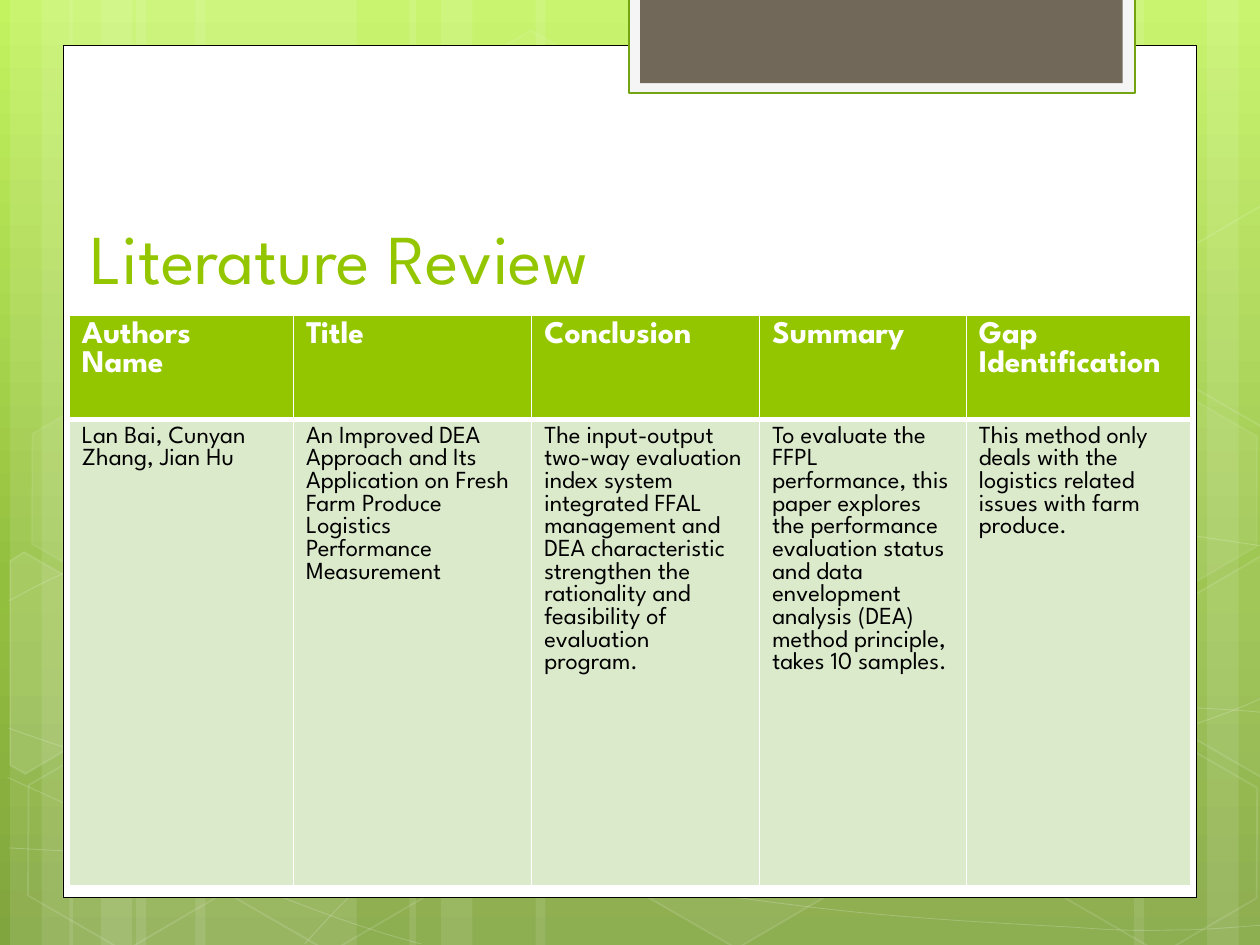
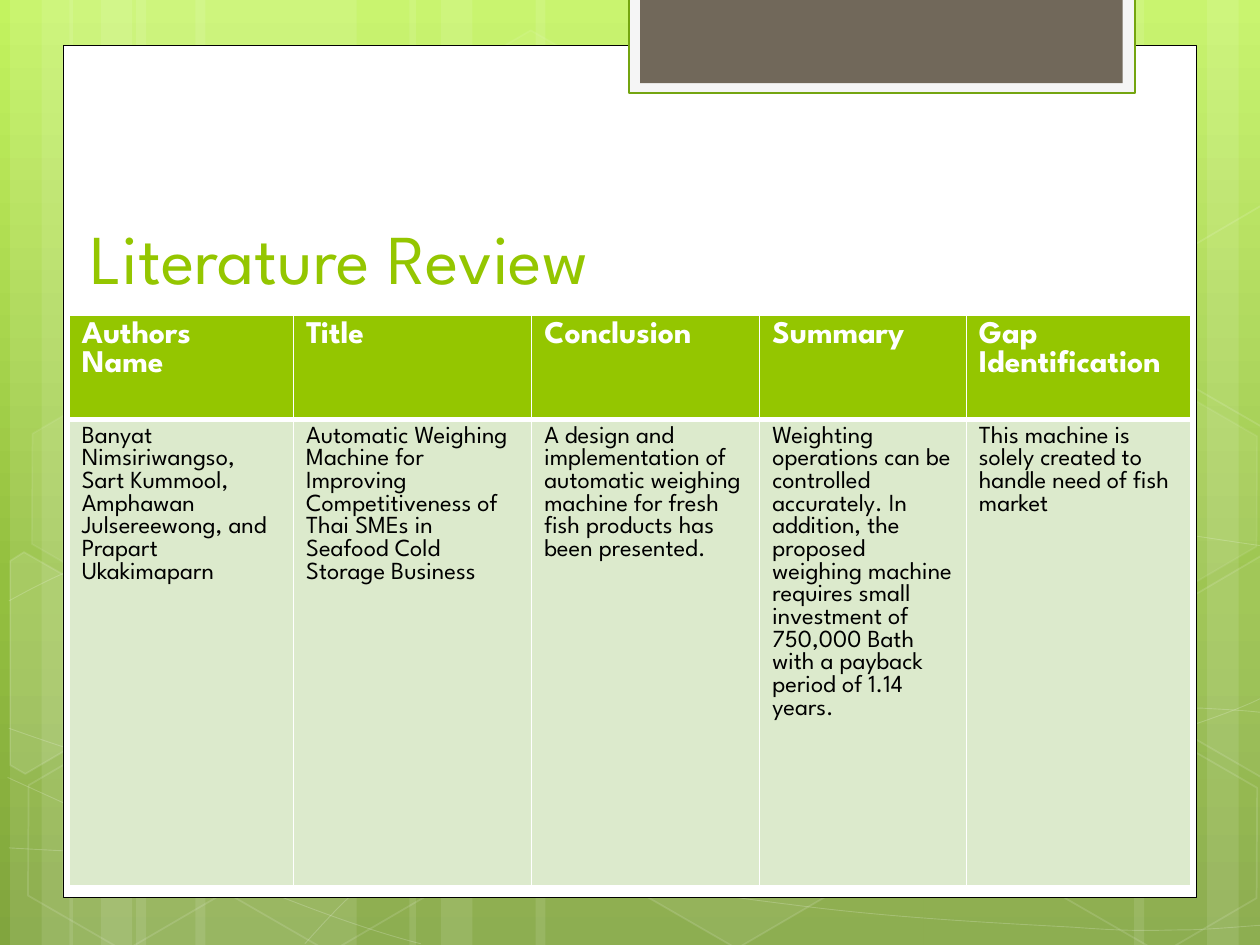
import copy
import math

import pptx
import pptx.util
import pptx.dml.color
import pptx.enum.shapes
import pptx.enum.text
import pptx.oxml.ns

Inches, Pt = pptx.util.Inches, pptx.util.Pt
qn = pptx.oxml.ns.qn
MSO = pptx.enum.shapes.MSO_SHAPE

FONT = "League Spartan"
COLORS = {
    "white": "FFFFFF", "black": "000000", "green": "94C600",
    "dark_green": "74A510", "pale_green": "DCEACC",
    "tab": "71685A", "tab_edge": "F5F5F5",
    "sky_top": "C3F35F", "sky_mid": "93BF3F", "sky_low": "81A53E",
}
SKY = [(0, "sky_top"), (62, "sky_mid"), (100, "sky_low")]

# left, width, rotation
BANDS = [(1.08, 1.75, 0), (0.08, 0.5, 0), (0.33, 0.83, 0), (1.55, 1.75, 0),
         (0.55, 0.5, 0), (0.8, 0.83, 0), (7.33, 1.75, 180), (9.58, 0.5, 180),
         (9, 0.83, 180), (4.25, 3.08, 0), (3.25, 0.5, 0), (3.5, 0.83, 0)]

# Start point, then three points for each Bezier segment;
# a segment without control points is straight
CURVES = [
    [(0.07, 6.73), (0.61, 6.76), (1.15, 6.79), (1.9, 6.78), (2.65, 6.77),
     (3.58, 6.75), (4.58, 6.65), (5.58, 6.55), (7, 6.36), (7.92, 6.17),
     (8.83, 5.98), (9.77, 5.68), (10.07, 5.51)],
    [(0.07, 4.77), (0.36, 4.61), (0.65, 4.46), (1.21, 4.31), (1.78, 4.16),
     (2.59, 3.94), (3.47, 3.87), (4.36, 3.8), (5.44, 3.79), (6.54, 3.87),
     (7.64, 3.95), (9.47, 4.26), (10.07, 4.34)],
    [(0.06, 6.17), (1.27, 6.72), (2.47, 7.27), (3.34, 7.49)],
    [(0.07, 5.78), (0.38, 5.89), (0.7, 6), (1.28, 6.16), (1.86, 6.31),
     (2.73, 6.56), (3.57, 6.73), (4.4, 6.9), (5.45, 7.08), (6.28, 7.18),
     (7.11, 7.29), (8, 7.33), (8.53, 7.36), (9.05, 7.4), (9.19, 7.38),
     (9.45, 7.38), (9.71, 7.37), (9.89, 7.35), (10.07, 7.34)],
    [(2.42, 7.49), (2.6, 7.29), (2.78, 7.09), (3.02, 6.91), (3.26, 6.73),
     (3.6, 6.53), (3.88, 6.39), (4.16, 6.25), (4.33, 6.19), (4.7, 6.09),
     (5.06, 5.99), (5.73, 5.85), (6.08, 5.78), (6.44, 5.71), (6.49, 5.71),
     (6.8, 5.69), (7.11, 5.66), (7.6, 5.63), (7.94, 5.62), (8.29, 5.61),
     (8.86, 5.62), (8.86, 5.62), None, None, (9.53, 5.62), (9.71, 5.63),
     (9.88, 5.64), (9.97, 5.65), (10.06, 5.66), (10.03, 5.65),
     (10.06, 5.66)],
]

TILT = 30
# left, top, fill opacity, line opacity
HEXAGONS = [(3.34, 0.36, 4, 8), (4.97, 5.89, 6, 12), (0.11, 5.91, 0, 12),
            (0.14, 3.12, 7, 8), (1.74, 5.92, 0, 12), (7.53, 4.53, 10, 12),
            (8.34, 5.93, 0, 12), (8.34, 3.14, 7, 8)]

# Hexagons cut by the slide edge: fill opacity, centre, corners as they show
CUT_HEXAGONS = [
    (10, (0.36, 5.35), [(0.08, 4.45), (0.19, 4.38), (0.96, 4.82),
                        (0.95, 5.7), (0.2, 6.14), (0.08, 6.07)]),
    (4, (9.85, 5.2), [(9.26, 4.85), (10.01, 4.41), (10.09, 4.46),
                      (10.09, 6.13), (10.02, 6.17), (9.26, 5.73)]),
    (0, (9.85, 2.41), [(9.26, 2.07), (10.01, 1.63), (10.1, 1.68),
                       (10.09, 3.35), (10.02, 3.39), (9.26, 2.95)]),
]

COLUMNS = [1.78, 1.89, 1.81, 1.64, 1.78]
ROWS = [0.83, 3.7]
HEADER = [["Authors", "Name"], ["Title"], ["Conclusion"], ["Summary"],
          ["Gap Identification"]]
REVIEWS = [
    [["Lan Bai, Cunyan Zhang, Jian Hu"],
     ["An Improved DEA Approach and Its Application on Fresh Farm Produce "
      "Logistics", "Performance Measurement"],
     ["The input-output two-way evaluation index system",
      "integrated FFAL management and DEA characteristic",
      "strengthen the rationality and feasibility of evaluation", "program."],
     ["To evaluate the",
      "FFPL performance, this paper explores the performance",
      "evaluation status and data envelopment analysis (DEA)",
      "method principle, takes 10 samples."],
     ["This method only deals with the logistics related issues with farm",
      "produce."]],
    [["Banyat Nimsiriwangso, Sart Kummool, Amphawan Julsereewong, and "
      "Prapart Ukakimaparn"],
     ["Automatic Weighing Machine for Improving Competitiveness of",
      "Thai SMEs in Seafood Cold Storage Business"],
     ["A design and implementation of automatic weighing",
      "machine for fresh fish products has been presented."],
     ["Weighting operations can be controlled accurately. In",
      "addition, the proposed weighing machine requires small",
      "investment of 750,000 Bath with a payback period of 1.14", "years."],
     ["This machine is solely created to handle need of fish market"]],
]


def rgb(name):
    """Return the named colour."""
    return pptx.dml.color.RGBColor.from_string(COLORS[name])


def add_node(parent, tag, **attributes):
    """Append an XML element to its parent."""
    node = parent.makeelement(qn(tag), attributes)
    parent.append(node)
    return node


def set_alpha(owner, percent):
    """Make the solid fill of a shape or line partly transparent."""
    if percent < 100:
        clr = owner.find(qn("a:solidFill")).find(qn("a:srgbClr"))
        add_node(clr, "a:alpha", val=str(percent * 1000))


def paint(sp, fill=None, fill_alpha=100, line=None, width=1, line_alpha=100):
    """Set the fill and line of a shape and drop its shadow."""
    sp.shadow.inherit = False
    pr = sp.element.spPr
    if fill and fill_alpha:
        sp.fill.solid()
        sp.fill.fore_color.rgb = rgb(fill)
        set_alpha(pr, fill_alpha)
    else:
        sp.fill.background()
    if line:
        sp.line.color.rgb = rgb(line)
        sp.line.width = Pt(width)
        set_alpha(pr.find(qn("a:ln")), line_alpha)
    else:
        sp.line.fill.background()


def write(tf, paragraphs, size=14, color="black", bold=False):
    """Fill a text frame with formatted, left-aligned paragraphs."""
    for i, text in enumerate(paragraphs):
        p = tf.add_paragraph() if i else tf.paragraphs[0]
        p.alignment = pptx.enum.text.PP_ALIGN.LEFT
        r = p.add_run()
        r.text = text
        r.font.name, r.font.size, r.font.bold = FONT, Pt(size), bold
        r.font.color.rgb = rgb(color)


def add_box(shapes, x, y, w, h, kind=MSO.RECTANGLE, **look):
    """Add a painted preset shape, measured in inches."""
    sp = shapes.add_shape(kind, Inches(x), Inches(y), Inches(w), Inches(h))
    paint(sp, **look)
    return sp


def add_outline(shapes, points, close, **look):
    """Add a painted freeform through points in inches."""
    pts = [(Inches(x), Inches(y)) for x, y in points]
    fb = shapes.build_freeform(*pts[0])
    fb.add_line_segments(pts[1:], close=close)
    sp = fb.convert_to_shape()
    paint(sp, **look)
    return sp


def add_curve(shapes, knots, **look):
    """Add an open chain of Bezier segments."""
    sp = add_outline(shapes, knots[::3], False, **look)
    lines = list(sp.element.iter(qn("a:lnTo")))
    for i, line in enumerate(lines):
        segment = knots[3 * i + 1:3 * i + 4]
        if None in segment:
            continue
        bezier = line.makeelement(qn("a:cubicBezTo"), {})
        for x, y in segment:
            add_node(bezier, "a:pt", x=str(Inches(x) - sp.left),
                     y=str(Inches(y) - sp.top))
        line.getparent().replace(line, bezier)


def turn(point, centre, degrees):
    """Rotate a point clockwise around a centre."""
    dx, dy = point[0] - centre[0], point[1] - centre[1]
    c, s = math.cos(math.radians(degrees)), math.sin(math.radians(degrees))
    return centre[0] + dx * c - dy * s, centre[1] + dx * s + dy * c


def draw_scenery(shapes):
    """Draw the translucent bands, curves and hexagons."""
    for x, w, rotation in BANDS:
        sp = add_box(shapes, x, 0, w, 7.5, fill="white", fill_alpha=10)
        sp.rotation = rotation
    for knots in CURVES:
        add_curve(shapes, knots, line="white", width=0.5, line_alpha=20)
    for x, y, fill_alpha, line_alpha in HEXAGONS:
        sp = add_box(shapes, x, y, 1.75, 1.52, MSO.HEXAGON, fill="white",
                     fill_alpha=fill_alpha, line="white",
                     line_alpha=line_alpha)
        sp.adjustments[0], sp.adjustments[1] = 0.285, 1.155
        sp.rotation = TILT
    for fill_alpha, centre, corners in CUT_HEXAGONS:
        upright = [turn(corner, centre, -TILT) for corner in corners]
        sp = add_outline(shapes, upright, True, fill="white",
                         fill_alpha=fill_alpha, line="white", line_alpha=12)
        sp.rotation = TILT


def draw_panel(shapes, x, y, w, h):
    """Draw the white page with the tab hanging over its top edge."""
    add_box(shapes, x, y, w, h, fill="white", line="black", width=0.5)
    add_box(shapes, x + 4.49, y - 0.38, 4.02, 0.76, fill="tab_edge",
            line="dark_green", width=1.25)
    add_box(shapes, x + 4.58, y - 0.38, 3.83, 0.68, fill="tab")


def build_layout(prs, layout):
    """Fill the layout with what slides share; return its first slide."""
    fill = layout.background.fill
    fill.gradient()
    fill.gradient_angle = 270
    stops = next(layout.element.iter(qn("a:gsLst")))
    stops.insert(1, copy.deepcopy(stops[0]))
    for stop, (position, color) in zip(stops, SKY):
        stop.set("pos", str(position * 1000))
        stop.remove(stop[0])
        add_node(stop, "a:srgbClr", val=COLORS[color])

    # Shapes can only be added to a slide, so they are moved from there
    s = prs.slides.add_slide(layout)
    draw_scenery(s.shapes.add_group_shape().shapes)
    draw_panel(s.shapes, 0.5, 0.36, 9, 6.76)
    drawn = [sp.element for sp in s.shapes if not sp.is_placeholder]
    for i, element in enumerate(drawn):
        layout.shapes.element.insert(2 + i, element)
    names = [n for e in drawn for n in e.iter(qn("p:cNvPr"))]
    for i, name in enumerate(names):
        name.set("id", str(100 + i))
    return s


def add_title(s, text, x, y, w, h):
    """Place the slide title at the bottom of its box."""
    sp = s.shapes.title
    sp.left, sp.top, sp.width, sp.height = map(Inches, (x, y, w, h))
    sp.text_frame.vertical_anchor = pptx.enum.text.MSO_ANCHOR.BOTTOM
    write(sp.text_frame, [text], size=40, color="green")


def set_borders(cell, bottom):
    """Give a cell white borders, 1 pt except at the bottom."""
    pr = cell._tc.get_or_add_tcPr()
    for side, width in (("L", 1), ("R", 1), ("T", 1), ("B", bottom)):
        ln = add_node(pr, "a:ln" + side, w=str(Pt(width)))
        add_node(add_node(ln, "a:solidFill"), "a:srgbClr",
                 val=COLORS["white"])


def add_review_table(s, review, x, y):
    """Add the header row and one reviewed paper."""
    table = s.shapes.add_table(2, len(COLUMNS), Inches(x), Inches(y),
                               Inches(sum(COLUMNS)), Inches(sum(ROWS))).table
    table.horz_banding = False
    for col, w in zip(table.columns, COLUMNS):
        col.width = Inches(w)
    looks = [("green", 3, dict(size=18, color="white", bold=True)),
             ("pale_green", 1, dict(size=14))]
    for row, h, texts, (fill, bottom, style) in zip(
            table.rows, ROWS, (HEADER, review), looks):
        row.height = Inches(h)
        for cell, paragraphs in zip(row.cells, texts):
            set_borders(cell, bottom)
            cell.fill.solid()
            cell.fill.fore_color.rgb = rgb(fill)
            write(cell.text_frame, paragraphs, **style)


prs = pptx.Presentation()
prs.slide_width, prs.slide_height = Inches(10), Inches(7.5)
title_only = prs.slide_layouts[5]
first = build_layout(prs, title_only)
slides = [first] + [prs.slides.add_slide(title_only) for _ in REVIEWS[1:]]
for s, review in zip(slides, REVIEWS):
    add_title(s, "Literature Review", 0.62, 1.17, 7.68, 1.25)
    add_review_table(s, review, 0.55, 2.5)
prs.save("out.pptx")
